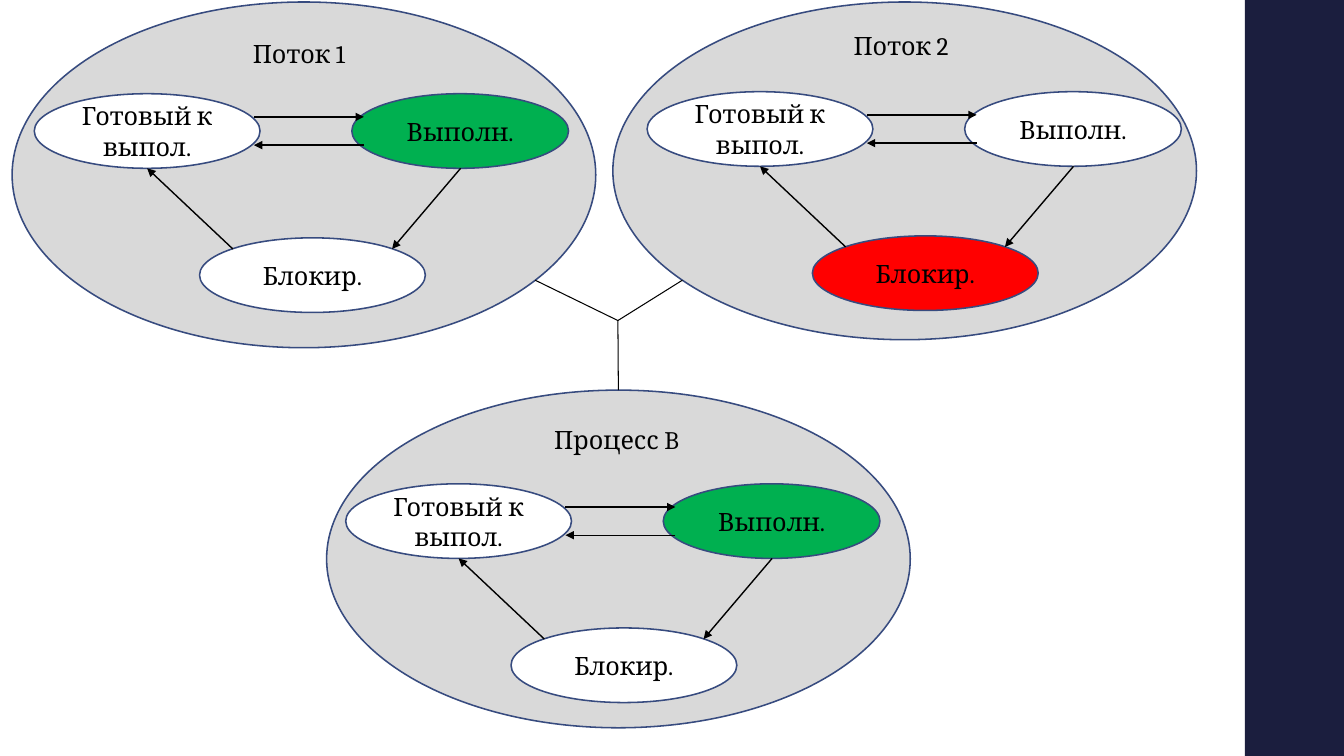
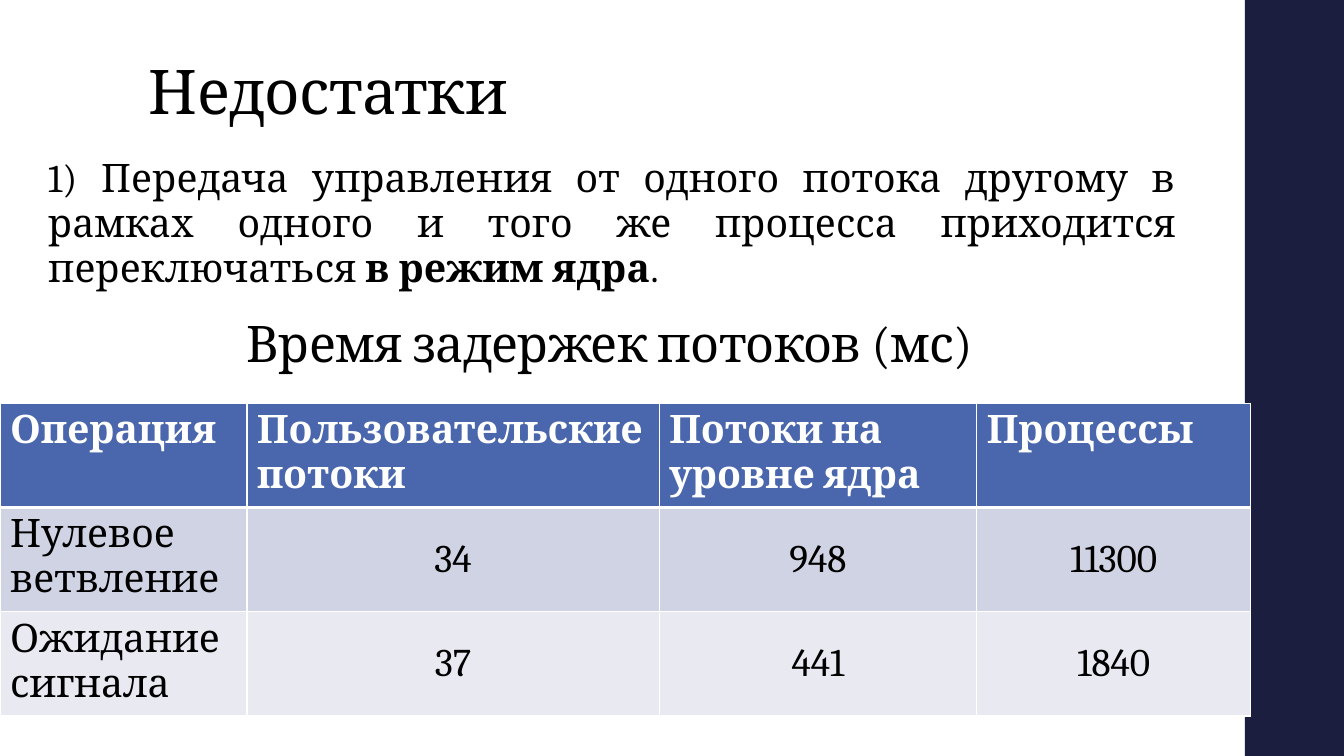
"""Build two slides on thread states and the cost of kernel-level threads."""
from lxml import etree
from pptx import Presentation
from pptx.dml.color import RGBColor
from pptx.enum.shapes import MSO_CONNECTOR, MSO_SHAPE
from pptx.enum.text import MSO_ANCHOR, PP_ALIGN
from pptx.oxml.ns import qn
from pptx.util import Pt

PX = 9144
FONT = "Cambria"
OVAL, RECTANGLE = MSO_SHAPE.OVAL, MSO_SHAPE.RECTANGLE
STRAIGHT = MSO_CONNECTOR.STRAIGHT
LEFT, CENTER, JUSTIFY = PP_ALIGN.LEFT, PP_ALIGN.CENTER, PP_ALIGN.JUSTIFY
TOP, MIDDLE, BOTTOM = MSO_ANCHOR.TOP, MSO_ANCHOR.MIDDLE, MSO_ANCHOR.BOTTOM

BLACK = RGBColor(0x00, 0x00, 0x00)
WHITE = RGBColor(0xFF, 0xFF, 0xFF)
NAVY = RGBColor(0x1B, 0x1E, 0x3E)
OUTLINE = RGBColor(0x37, 0x4B, 0x7F)
GRAY = RGBColor(0xD9, 0xD9, 0xD9)
GREEN = RGBColor(0x00, 0xB0, 0x50)
RED = RGBColor(0xFF, 0x00, 0x00)
HEADER_BLUE = RGBColor(0x4A, 0x66, 0xAC)
ROW_FILLS = [HEADER_BLUE, RGBColor(0xD0, 0xD3, 0xE3), RGBColor(0xE9, 0xEA, 0xF1)]


def write_text(text_frame, text, size, align=LEFT, color=BLACK, bold=False):
    """Fill the frame with one styled paragraph and return it."""
    text_frame.text = text
    paragraph = text_frame.paragraphs[0]
    paragraph.alignment = align
    font = paragraph.runs[0].font
    font.name, font.size, font.bold = FONT, Pt(size), bold
    font.color.rgb = color
    return paragraph


def add_line(slide, start, end, width, arrow=False):
    """Draw a black straight line and return it."""
    connector = slide.shapes.add_connector(
        STRAIGHT, *(value * PX for value in (*start, *end)))
    connector.line.color.rgb = BLACK
    connector.line.width = Pt(width)
    properties = connector._element.spPr
    if arrow:
        etree.SubElement(properties.find(qn("a:ln")), qn("a:tailEnd"), type="triangle")
    etree.SubElement(properties, qn("a:effectLst"))
    return connector


presentation = Presentation()
presentation.slide_width = 12192000
presentation.slide_height = 750 * PX
blank_layout = presentation.slide_layouts[6]

slides = [presentation.slides.add_slide(blank_layout) for _ in range(2)]
for slide in slides:
    band = slide.shapes.add_shape(RECTANGLE, 1235 * PX, 0, 100 * PX, 750 * PX)
    band.shadow.inherit = False
    band.fill.solid()
    band.fill.fore_color.rgb = NAVY
    band.line.fill.background()

states_slide, drawbacks_slide = slides

# name, name box, outer ellipse, origin of the states, fills of the states
DIAGRAMS = [
    ("Поток 2", (837, 25, 131), (608, 2, 579, 335), (642, 91), (WHITE, WHITE, RED)),
    ("Процесс B", (540, 416, 172), (324, 387, 579, 335), (343, 480), (WHITE, GREEN, WHITE)),
    ("Поток 1", (241, 33, 131), (12, 2, 579, 343), (34, 93), (WHITE, GREEN, WHITE)),
]
STATES = [
    ("Готовый к выпол.", 0, 0, 224),
    ("Выполн.", 315, 0, 215),
    ("Блокир.", 164, 143, 224),
]
TRANSITIONS = [
    ((218, 23), (327, 23)),
    ((327, 51), (218, 51)),
    ((423, 74), (355, 154)),
    ((197, 154), (112, 74)),
]

outer_ellipses = {}
for name, (name_left, name_top, name_width), outer, (left, top), fills in DIAGRAMS:
    ellipses = [("", *outer, GRAY)]
    for (state, dx, dy, width), fill in zip(STATES, fills):
        ellipses.append((state, left + dx, top + dy, width, 74, fill))
    for text, *bounds, fill in ellipses:
        ellipse = states_slide.shapes.add_shape(OVAL, *(value * PX for value in bounds))
        ellipse.shadow.inherit = False
        ellipse.fill.solid()
        ellipse.fill.fore_color.rgb = fill
        ellipse.line.color.rgb = OUTLINE
        ellipse.line.width = Pt(1.1)
        if text:
            ellipse.text_frame.vertical_anchor = MIDDLE
            write_text(ellipse.text_frame, text, 18, CENTER)
        else:
            outer_ellipses[name] = ellipse
    for (x1, y1), (x2, y2) in TRANSITIONS:
        add_line(states_slide, (left + x1, top + y1), (left + x2, top + y2), 1, arrow=True)
    name_box = states_slide.shapes.add_textbox(
        name_left * PX, name_top * PX, name_width * PX, 40 * PX)
    name_box.text_frame.word_wrap = True
    write_text(name_box.text_frame, name, 18)

junction = (613, 318)
add_line(states_slide, (531, 278), junction, 0.75)
add_line(states_slide, junction, (677, 278), 0.75)
process_line = add_line(states_slide, junction, (613, 387), 0.75)
process_line.end_connect(outer_ellipses["Процесс B"], 0)

TEXTS = [
    ("Недостатки", "", "", (138, 40, 1060, 92), 44, BOTTOM, LEFT, 0.9, -50),
    ("1) Передача управления от одного потока другому в рамках одного и того же "
     "процесса приходится переключаться ", "в режим ядра", ".",
     (38, 151, 1139, 179), 28, TOP, JUSTIFY, 0.95, 10),
    ("Время задержек потоков (мс)", "", "", (235, 283, 1060, 92), 36, BOTTOM, LEFT, 0.9, -50),
]
for text, bold_text, ending, bounds, size, anchor, align, line_spacing, tracking in TEXTS:
    box = drawbacks_slide.shapes.add_textbox(*(value * PX for value in bounds))
    box.text_frame.word_wrap = True
    box.text_frame.vertical_anchor = anchor
    paragraph = write_text(box.text_frame, text, size, align)
    paragraph.line_spacing = line_spacing
    for extra, bold in ((bold_text, True), (ending, False)):
        if extra:
            run = paragraph.add_run()
            run.text = extra
            run.font.name, run.font.size, run.font.bold = FONT, Pt(size), bold
            run.font.color.rgb = BLACK
    for run in paragraph.runs:
        run._r.get_or_add_rPr().set("spc", str(tracking))

DELAYS = [
    ["Операция", "Пользовательские потоки", "Потоки на уровне ядра", "Процессы"],
    ["Нулевое ветвление", "34", "948", "11300"],
    ["Ожидание сигнала", "37", "441", "1840"],
]
COLUMN_WIDTHS = [245, 409, 315, 272]
ROW_HEIGHT = 99
table = drawbacks_slide.shapes.add_table(
    len(DELAYS), len(COLUMN_WIDTHS), 0, 400 * PX,
    sum(COLUMN_WIDTHS) * PX, len(DELAYS) * ROW_HEIGHT * PX).table
for column, width in zip(table.columns, COLUMN_WIDTHS):
    column.width = width * PX
for row_index, values in enumerate(DELAYS):
    table.rows[row_index].height = ROW_HEIGHT * PX
    is_header = row_index == 0
    for column_index, value in enumerate(values):
        cell = table.cell(row_index, column_index)
        is_number = not is_header and column_index > 0
        cell.vertical_anchor = MIDDLE if is_number else TOP
        write_text(cell.text_frame, value, 28, CENTER if is_number else LEFT,
                   WHITE if is_header else BLACK, is_header)
        cell_properties = cell._tc.get_or_add_tcPr()
        border_widths = {"a:lnL": 1, "a:lnR": 1, "a:lnT": 3 if row_index == 1 else 1,
                         "a:lnB": 3 if is_header else 1}
        for side, width in border_widths.items():
            border = etree.SubElement(cell_properties, qn(side), w=str(Pt(width)))
            border_fill = etree.SubElement(border, qn("a:solidFill"))
            etree.SubElement(border_fill, qn("a:srgbClr"), val=str(WHITE))
        cell.fill.solid()
        cell.fill.fore_color.rgb = ROW_FILLS[row_index]

presentation.save("out.pptx")
